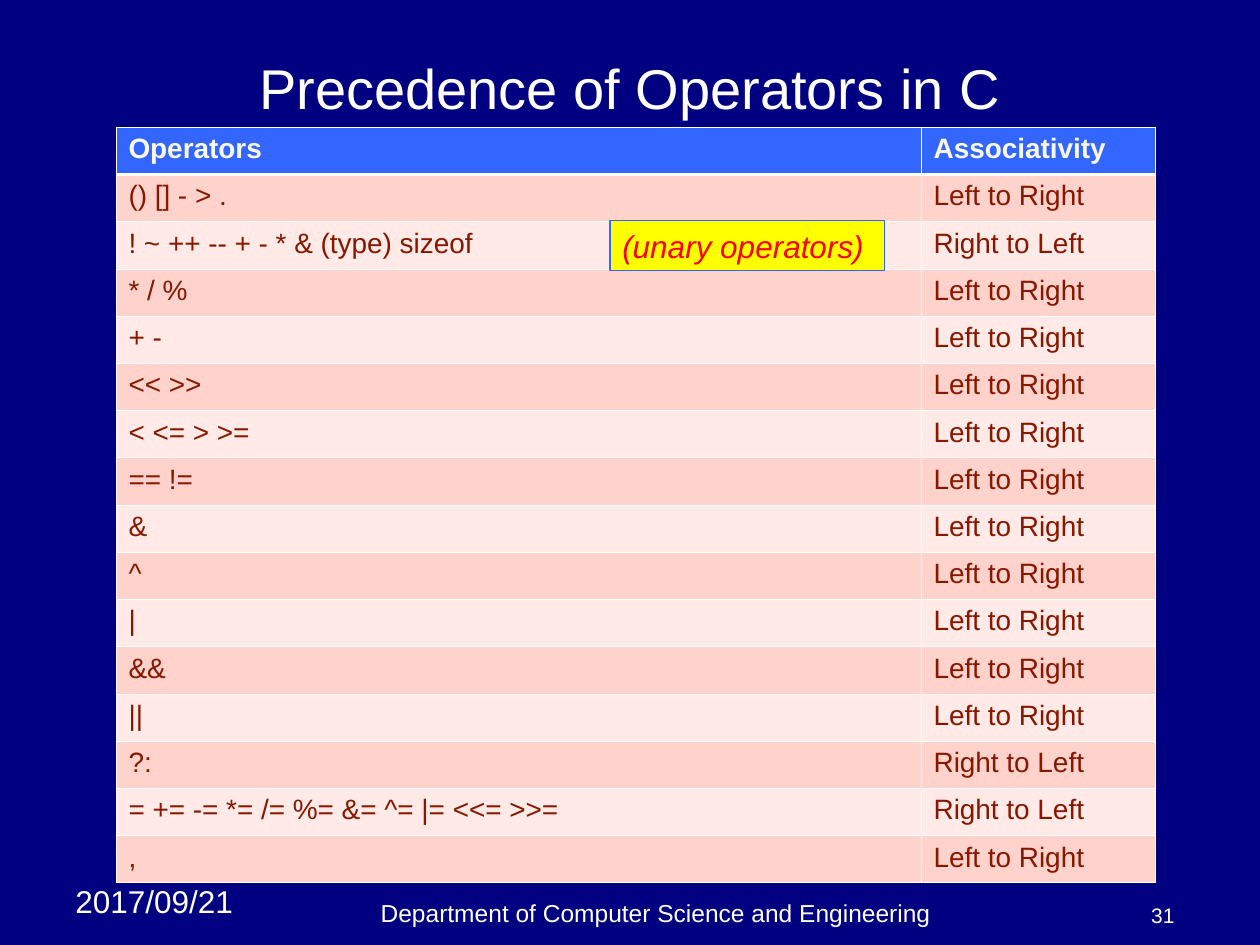
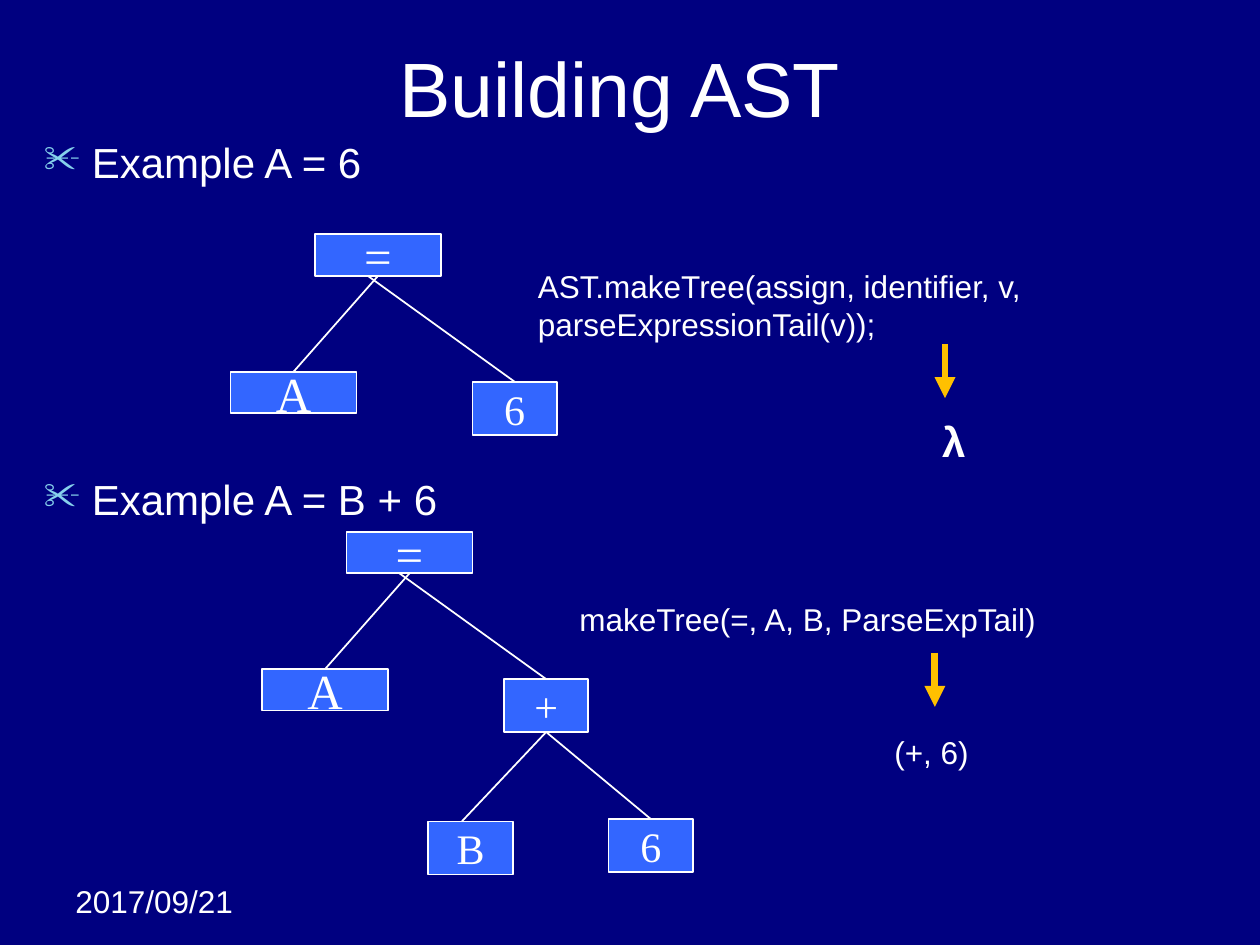
from dataclasses import dataclass

from lxml.etree import SubElement
from pptx import Presentation
from pptx.dml.color import RGBColor
from pptx.enum.shapes import MSO_CONNECTOR, MSO_SHAPE
from pptx.enum.text import MSO_ANCHOR, PP_ALIGN
from pptx.oxml.ns import qn
from pptx.util import Inches, Pt


@dataclass(frozen=True)
class Theme:
    """Colours, fonts and type sizes shared by the slides."""
    background: str = "000080"
    text: str = "FFFFFF"
    line: str = "FFFFFF"
    node: str = "3366FF"
    header_text: str = "FAF9E6"
    cell_text: str = "881700"
    bands: tuple = ("FFEAE7", "FFD3CB")
    note_fill: str = "FFFF00"
    note_text: str = "FF0000"
    bullet: str = "86D1EC"
    arrow: str = "FFC000"
    font: str = "Arial"
    node_font: str = "Times New Roman"
    table_size: int = 16
    body_size: int = 24
    label_size: int = 18
    footer_size: int = 14
    number_size: int = 12
    thin: float = 0.45
    thick: float = 1.47


T = Theme()
LTR, RTL = "Left to Right", "Right to Left"
PRECEDENCE = [
    ("() [] - > .", LTR),
    ("! ~ ++ -- + - * & (type) sizeof", RTL),
    ("* / %", LTR),
    ("+ -", LTR),
    ("<< >>", LTR),
    ("< <= > >=", LTR),
    ("== !=", LTR),
    ("&", LTR),
    ("^", LTR),
    ("|", LTR),
    ("&&", LTR),
    ("||", LTR),
    ("?:", RTL),
    ("= += -= *= /= %= &= ^= |= <<= >>=", RTL),
    (",", LTR),
]


def rgb(value):
    """Return a colour from its hex value."""
    return RGBColor.from_string(value)


def box(rect):
    """Convert left, top, width and height to lengths."""
    return [Inches(v) for v in rect]


def write(p, text, size, color=T.text, name=T.font, **formats):
    """Add a formatted run to a paragraph."""
    r = p.add_run()
    r.text = text
    for key, value in {"size": Pt(size), "name": name, **formats}.items():
        setattr(r.font, key, value)
    r.font.color.rgb = rgb(color)


def add_text(s, text, rect, size=T.label_size, align=PP_ALIGN.LEFT,
             anchor=MSO_ANCHOR.TOP, **formats):
    """Add a wrapping text box with one paragraph."""
    tf = s.shapes.add_textbox(*box(rect)).text_frame
    tf.word_wrap = True
    tf.vertical_anchor = anchor
    p = tf.paragraphs[0]
    p.alignment = align
    write(p, text, size, **formats)


def add_slide(prs, title, rect, size):
    """Add a slide with its background, date and title."""
    s = prs.slides.add_slide(prs.slide_layouts[6])
    s.background.fill.solid()
    s.background.fill.fore_color.rgb = rgb(T.background)
    add_text(s, "2017/09/21", (0.5, 6.95, 1.58, 0.4))
    add_text(s, title, rect, size, PP_ALIGN.CENTER, MSO_ANCHOR.MIDDLE)
    return s


def add_box(s, text, rect, size, fill, line, width, align, **formats):
    """Add a filled rectangle with an unwrapped label."""
    sp = s.shapes.add_shape(MSO_SHAPE.RECTANGLE, *box(rect))
    sp.shadow.inherit = False
    sp.fill.solid()
    sp.fill.fore_color.rgb = rgb(fill)
    sp.line.color.rgb = rgb(line)
    sp.line.width = Pt(width)
    tf = sp.text_frame
    tf.word_wrap = False
    tf.vertical_anchor = MSO_ANCHOR.MIDDLE
    tf.paragraphs[0].alignment = align
    write(tf.paragraphs[0], text, size, **formats)
    return sp


def add_node(s, text, left, top, wide=False):
    """Add a wide or a narrow tree node."""
    width, height, size = (1, 0.33, 28) if wide else (0.67, 0.42, 24)
    return add_box(s, text, (left, top, width, height), size, T.node, T.line, 1,
                   PP_ALIGN.CENTER, name=T.node_font)


def add_line(s, x1, y1, x2, y2, color, width):
    """Add a straight connector without a shadow."""
    c = s.shapes.add_connector(MSO_CONNECTOR.STRAIGHT, x1, y1, x2, y2)
    c.line.color.rgb = rgb(color)
    c.line.width = Pt(width)
    SubElement(c._element.spPr, qn("a:effectLst"))
    return c


def add_edge(s, parent, child, start_shift=0, end_shift=0):
    """Link a parent's bottom to a child's top, joined where not shifted."""
    x1 = parent.left + parent.width // 2 + Inches(start_shift)
    x2 = child.left + child.width // 2 + Inches(end_shift)
    c = add_line(s, x1, parent.top + parent.height, x2, child.top, T.line, 1)
    if not start_shift:
        c.begin_connect(parent, 2)
    if not end_shift:
        c.end_connect(child, 0)


def add_arrow(s, x, top):
    """Add a short thick arrow pointing down."""
    c = add_line(s, *box((x, top, x, top + 0.43)), T.arrow, 4)
    SubElement(c.line._get_or_add_ln(), qn("a:tailEnd"), type="triangle")


def add_assignment(s, left, top, value):
    """Add an assignment to A and return its right-hand node."""
    root = add_node(s, "=", left, top, wide=True)
    target = add_node(s, "A", left - 0.67, top + 1.09, wide=True)
    right = add_node(s, value, left + 1.25, top + 1.17)
    add_edge(s, root, target)
    add_edge(s, root, right, start_shift=-0.08)
    return right


def add_bullets(s, rect, items):
    """Add scissor bullets from pairs of text and space before."""
    tf = s.shapes.add_textbox(*box(rect)).text_frame
    tf.word_wrap = True
    for i, (text, space) in enumerate(items):
        p = tf.add_paragraph() if i else tf.paragraphs[0]
        pPr = p._p.get_or_add_pPr()
        pPr.set("marL", str(Inches(0.38)))
        pPr.set("indent", str(-Inches(0.38)))
        SubElement(SubElement(pPr, qn("a:buClr")), qn("a:srgbClr"), val=T.bullet)
        SubElement(pPr, qn("a:buSzPct"), val="90000")
        SubElement(pPr, qn("a:buChar"), char="✂")
        p.line_spacing = 0.9
        p.space_before = Pt(space)
        write(p, text, T.body_size)


def set_borders(cell, top, bottom):
    """Draw the four borders of a cell."""
    tcPr = cell._tc.get_or_add_tcPr()
    for side, width in {"L": T.thin, "R": T.thin, "T": top, "B": bottom}.items():
        ln = SubElement(tcPr, qn(f"a:ln{side}"), w=str(Pt(width)))
        SubElement(SubElement(ln, qn("a:solidFill")), qn("a:srgbClr"), val=T.line)


def add_table(s, rect, widths, rows):
    """Add a banded table whose first row is the header."""
    table = s.shapes.add_table(len(rows), len(widths), *box(rect)).table
    for column, width in zip(table.columns, widths):
        column.width = Inches(width)
    for i, row in enumerate(rows):
        fill, color = (T.bands[i % 2], T.cell_text) if i else (T.node, T.header_text)
        for j, text in enumerate(row):
            cell = table.cell(i, j)
            set_borders(cell, T.thick if i == 1 else T.thin,
                        T.thin if i else T.thick)
            cell.fill.solid()
            cell.fill.fore_color.rgb = rgb(fill)
            write(cell.text_frame.paragraphs[0], text, T.table_size, color,
                  bold=i == 0)


def precedence_slide(prs):
    """Build the operator precedence slide."""
    s = add_slide(prs, "Precedence of Operators in C", (0.5, 0.39, 9, 0.61), 32)
    add_text(s, "Department of Computer Science and Engineering",
             (1.83, 7.08, 6.75, 0.33), T.footer_size, PP_ALIGN.CENTER,
             MSO_ANCHOR.BOTTOM)
    add_text(s, "31", (8.75, 7.08, 0.67, 0.33), T.number_size, PP_ALIGN.RIGHT,
             MSO_ANCHOR.BOTTOM)
    add_table(s, (0.92, 1.01, 8.25, 6), (6.39, 1.86),
              [("Operators", "Associativity"), *PRECEDENCE])
    add_box(s, "(unary operators)", (4.84, 1.75, 2.18, 0.4), T.label_size,
            T.note_fill, T.node, 0.75, PP_ALIGN.LEFT, color=T.note_text,
            italic=True)


def ast_slide(prs):
    """Build the syntax tree slide."""
    s = add_slide(prs, "Building AST ", (0.5, 0.3, 9, 0.78), 44)
    add_bullets(s, (0.25, 1.08, 9.58, 5.5),
                [("Example A = 6", 0), ("Example A = B + 6", 166.5)])
    add_assignment(s, 2.5, 1.86, "6")
    plus = add_assignment(s, 2.75, 4.22, "+")
    add_edge(s, plus, add_node(s, "B", 3.4, 6.52), end_shift=-0.07)
    add_edge(s, plus, add_node(s, "6", 4.83, 6.5))
    add_text(s, "AST.makeTree(assign, identifier, v, parseExpressionTail(v));",
             (4.17, 2.07, 5, 0.7))
    add_arrow(s, 7.5, 2.73)
    add_text(s, "λ", (7.07, 3.25, 1, 0.5), T.body_size, PP_ALIGN.CENTER, bold=True)
    add_text(s, "makeTree(=, A, B, ParseExpTail)", (4.5, 4.71, 5, 0.4))
    add_arrow(s, 7.42, 5.18)
    add_text(s, "(+, 6)", (7, 5.77, 1, 0.4))


def main():
    """Build and save the presentation."""
    prs = Presentation()
    prs.slide_width, prs.slide_height = Inches(10), Inches(7.5)
    precedence_slide(prs)
    ast_slide(prs)
    prs.save("out.pptx")


if __name__ == "__main__":
    main()
